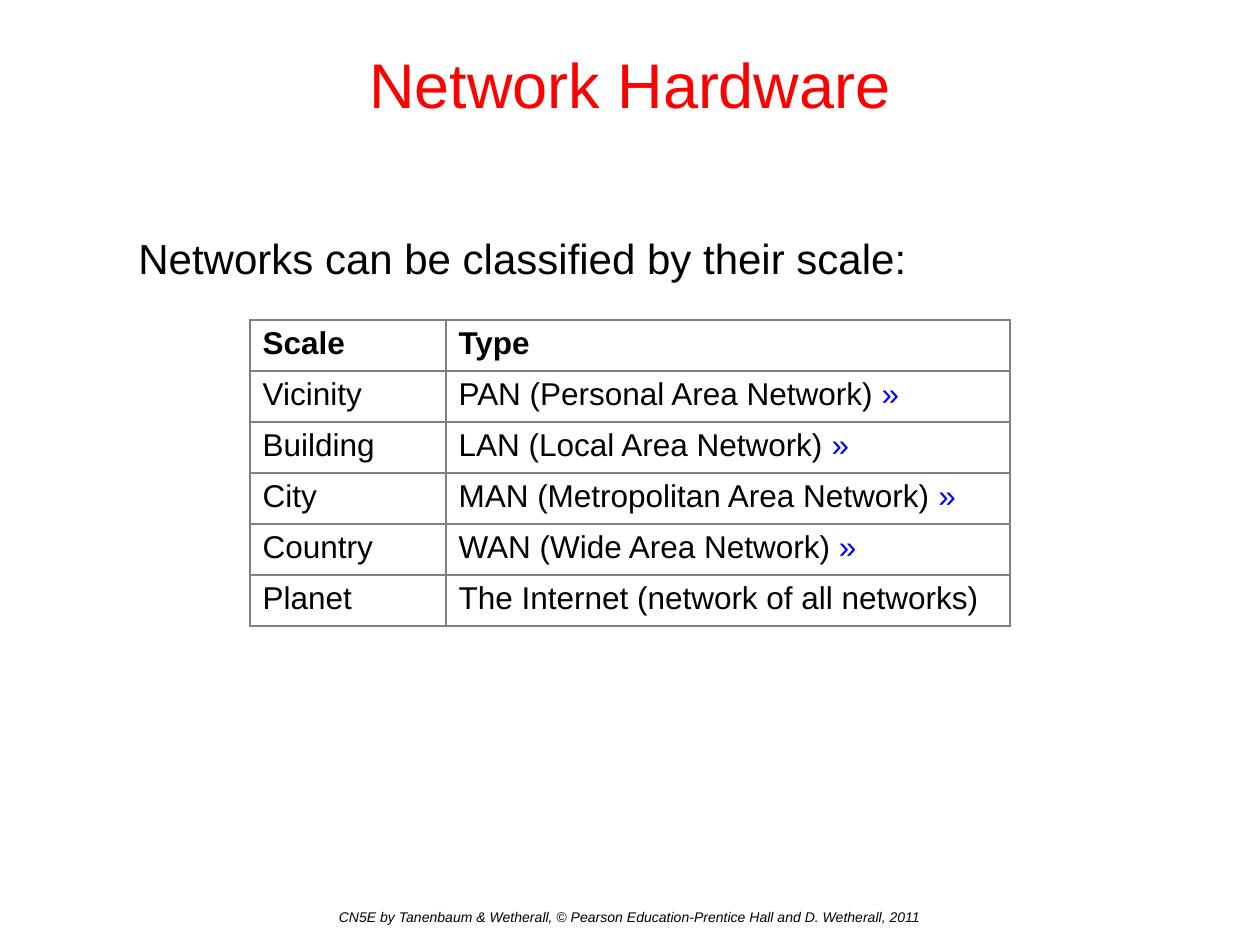
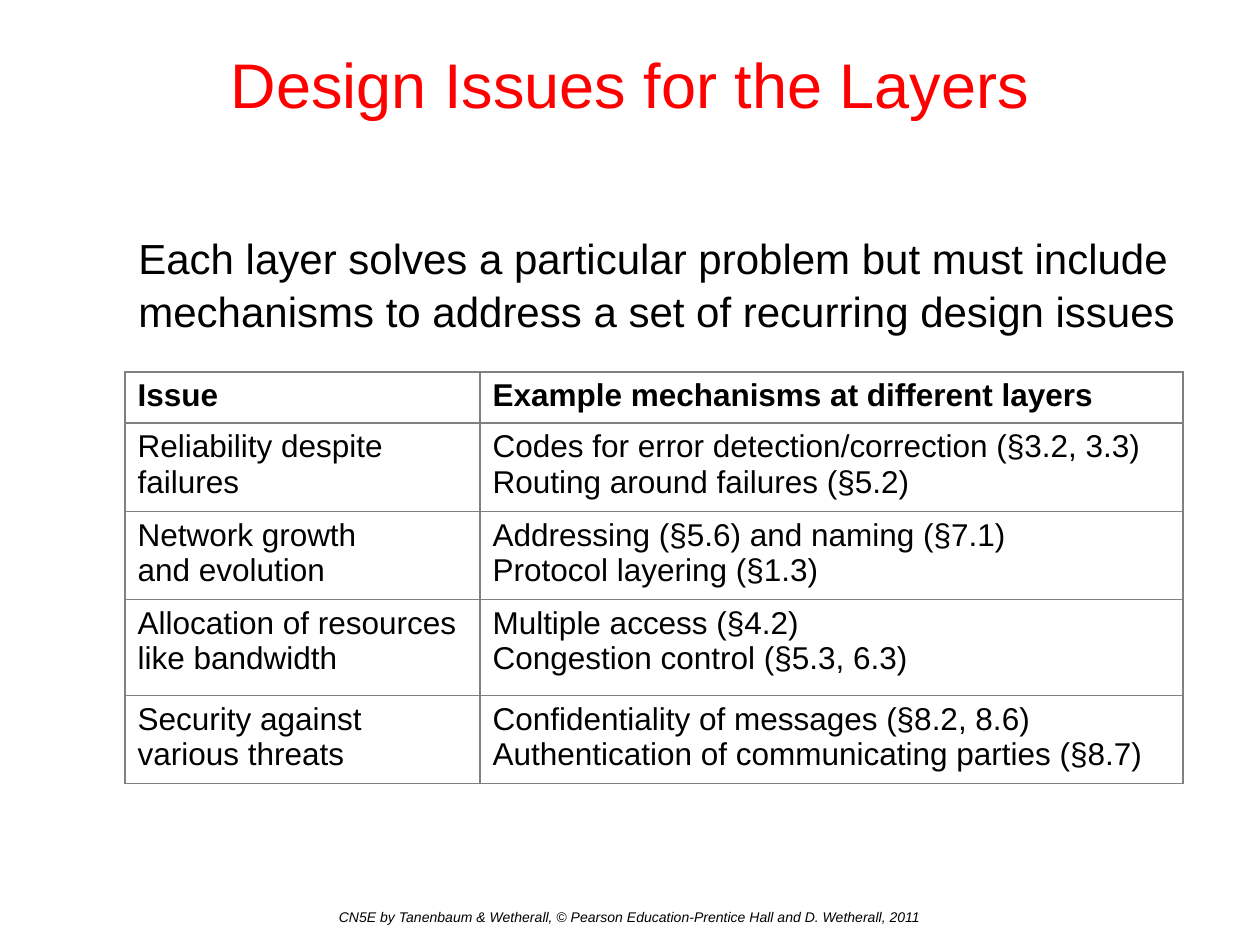
"""Builds two slides on network scales and layer design issues."""
import pptx
import pptx.util
import pptx.dml.color
import pptx.enum.text
import pptx.oxml
import pptx.oxml.ns

PX = 914400 / 126
RED, BLACK, BLUE, GREY = "FF0000", "000000", "0000FF", "808080"
CENTER, LEFT = pptx.enum.text.PP_ALIGN.CENTER, pptx.enum.text.PP_ALIGN.LEFT
TOP, MIDDLE = pptx.enum.text.MSO_ANCHOR.TOP, pptx.enum.text.MSO_ANCHOR.MIDDLE
FOOTER = "CN5E by Tanenbaum & Wetherall, © Pearson Education-Prentice Hall and D. Wetherall, 2011"
MORE = "»"


def px(length):
    return pptx.util.Emu(round(length * PX))


def style(run, size, color, bold=False, italic=False):
    run.font.name = "Arial"
    run.font.size = pptx.util.Pt(size)
    run.font.color.rgb = pptx.dml.color.RGBColor.from_string(color)
    run.font.bold = bold
    run.font.italic = italic


topics = [
    {
        "title": "Network Hardware",
        "intro": "Networks can be classified by their scale:",
        "corner": (250, 320),
        "columns": [196, 564],
        "heights": [51] * 6,
        "rows": [
            ("Scale", "Type"),
            ("Vicinity", "PAN (Personal Area Network) »"),
            ("Building", "LAN (Local Area Network) »"),
            ("City", "MAN (Metropolitan Area Network) »"),
            ("Country", "WAN (Wide Area Network) »"),
            ("Planet", "The Internet (network of all networks)"),
        ],
    },
    {
        "title": "Design Issues for the Layers",
        "intro": "Each layer solves a particular problem but must include "
                 "mechanisms to address a set of recurring design issues",
        "corner": (125, 372),
        "columns": [355, 703],
        "heights": [51, 88, 88, 96, 88],
        "rows": [
            ("Issue", "Example mechanisms at different layers"),
            ("Reliability despite failures",
             "Codes for error detection/correction (§3.2, 3.3)\nRouting around failures (§5.2)"),
            ("Network growth\vand evolution",
             "Addressing (§5.6) and naming (§7.1)\nProtocol layering (§1.3)"),
            ("Allocation of resources like bandwidth",
             "Multiple access (§4.2)\nCongestion control (§5.3, 6.3)"),
            ("Security against various threats",
             "Confidentiality of messages (§8.2, 8.6)\n"
             "Authentication of communicating parties (§8.7)"),
        ],
    },
]

deck = pptx.Presentation()
deck.slide_width, deck.slide_height = px(1260), px(945)

for topic in topics:
    slide = deck.slides.add_slide(deck.slide_layouts[6])

    for text, bounds, inset, anchor, align, spacing, size, color, italic in [
        (topic["title"], (0, 0, 1260, 158), 14, MIDDLE, CENTER, 1, 36, RED, False),
        (FOOTER, (0, 903, 1260, 42), 6, TOP, CENTER, 1, 8, BLACK, True),
        (topic["intro"], (126, 222, 1074, 634), 9, TOP, LEFT, 1.04, 24, BLACK, False),
    ]:
        frame = slide.shapes.add_textbox(*map(px, bounds)).text_frame
        frame.word_wrap = True
        frame.vertical_anchor = anchor
        frame.margin_top = px(inset)
        frame.text = text
        paragraph = frame.paragraphs[0]
        paragraph.alignment = align
        paragraph.line_spacing = spacing
        style(paragraph.runs[0], size, color, italic=italic)

    rows, columns, heights = topic["rows"], topic["columns"], topic["heights"]
    grid = slide.shapes.add_table(
        len(rows), len(columns), *map(px, topic["corner"]),
        px(sum(columns)), px(sum(heights))).table
    grid.horz_banding = False
    for column, width in zip(grid.columns, columns):
        column.width = px(width)

    for row_index, (row, height) in enumerate(zip(rows, heights)):
        grid.rows[row_index].height = px(height)
        for column_index, text in enumerate(row):
            cell = grid.cell(row_index, column_index)
            cell.text_frame.text = text.removesuffix(MORE)
            for paragraph in cell.text_frame.paragraphs:
                for run in paragraph.runs:
                    style(run, 18, BLACK, bold=row_index == 0)
            if text.endswith(MORE):
                marker = cell.text_frame.paragraphs[-1].add_run()
                marker.text = MORE
                style(marker, 18, BLUE)
            borders = cell._tc.get_or_add_tcPr()
            for side in ("lnL", "lnR", "lnT", "lnB"):
                borders.append(pptx.oxml.parse_xml(
                    f'<a:{side} {pptx.oxml.ns.nsdecls("a")} w="9525"><a:solidFill>'
                    f'<a:srgbClr val="{GREY}"/></a:solidFill></a:{side}>'))
            cell.fill.background()

deck.save("out.pptx")
